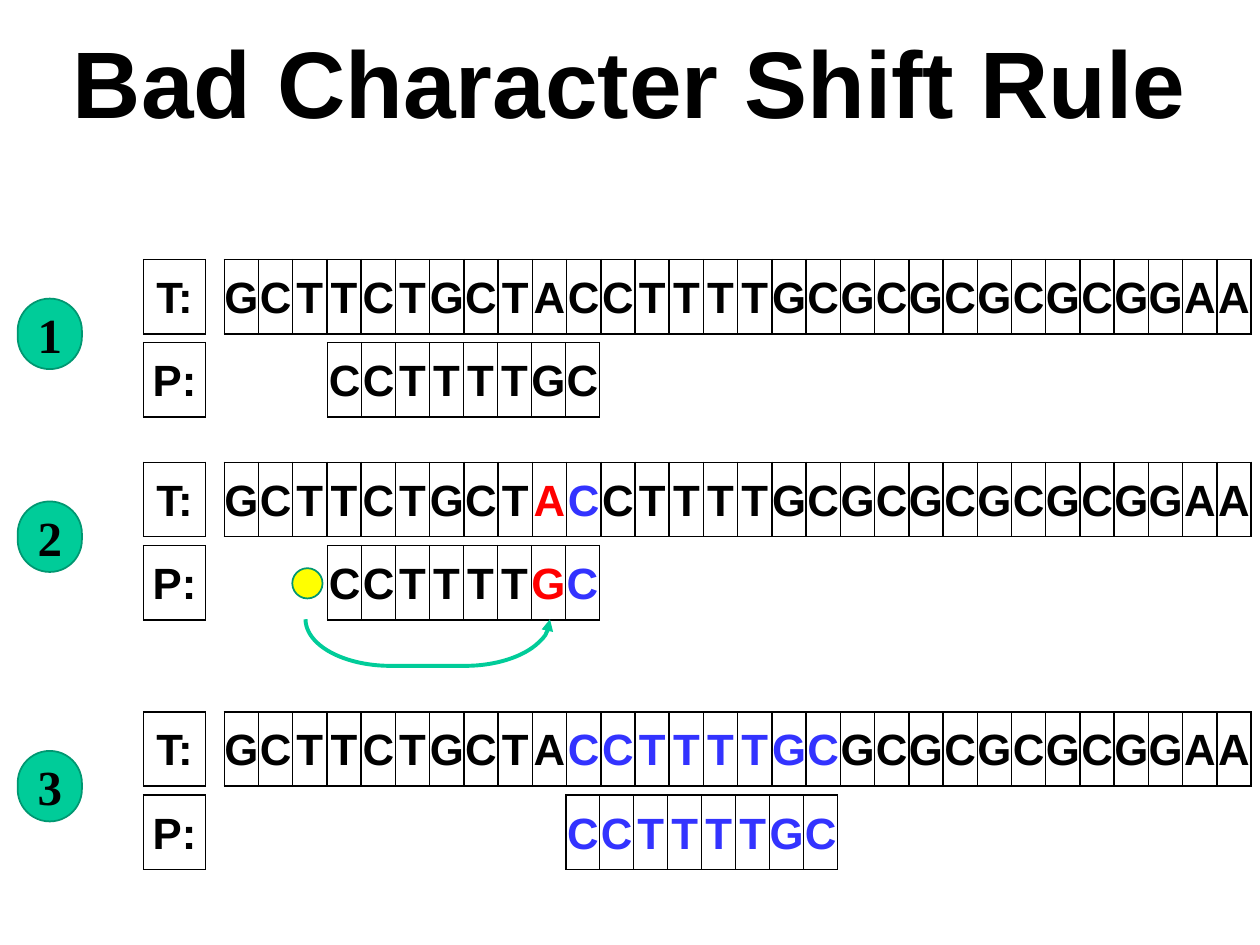
from dataclasses import dataclass

from lxml import etree
from pptx import Presentation
from pptx.dml.color import RGBColor
from pptx.enum.shapes import MSO_SHAPE
from pptx.enum.text import MSO_ANCHOR, PP_ALIGN
from pptx.oxml.ns import qn
from pptx.shapes.autoshape import Shape
from pptx.slide import Slide
from pptx.table import _Cell
from pptx.text.text import TextFrame
from pptx.util import Inches, Pt

CENTER = PP_ALIGN.CENTER
MIDDLE = MSO_ANCHOR.MIDDLE
ROUNDED = MSO_SHAPE.ROUNDED_RECTANGLE
BRACKET = MSO_SHAPE.RIGHT_BRACKET


@dataclass(frozen=True)
class Theme:
    black: str = "000000"
    mismatch: str = "FF0000"
    match: str = "3333FF"
    green: str = "00CC99"
    green_edge: str = "009771"
    yellow: str = "FFFF00"
    sans: str = "Arial"
    serif: str = "Times New Roman"
    title_size: float = 54
    letter_size: float = 25
    number_size: float = 28
    thin: float = 1
    thick: float = 2.25


@dataclass(frozen=True)
class Step:
    number: int
    top: float
    pattern_left: float
    # One mark per letter: x is a mismatch, = a match, anything else is plain
    text_marks: str = ""
    pattern_marks: str = ""


THEME = Theme()
MARK_COLORS = {"x": THEME.mismatch, "=": THEME.match}
TEXT = "GCTTCTGCTACCTTTTGCGCGCGCGCGGAA"
PATTERN = "CCTTTTGC"
STEPS = [
    Step(1, 2.06, 2.6),
    Step(2, 3.67, 2.6, "." * 9 + "x=", "." * 6 + "x="),
    Step(3, 5.65, 4.49, "." * 10 + "=" * 8, "=" * 8),
]
LABEL_LEFT, LABEL_WIDTH = 1.14, 0.49
TEXT_LEFT, TEXT_WIDTH, PATTERN_WIDTH = 1.78, 8.16, 2.16
ROW_HEIGHT, PATTERN_OFFSET = 0.59, 0.66
BADGE_LEFT, BADGE_OFFSET, BADGE_WIDTH, BADGE_HEIGHT = 0.14, 0.31, 0.51, 0.56


def write(frame: TextFrame, text: str, font: str, size: float, color: str) -> None:
    paragraph = frame.paragraphs[0]
    paragraph.alignment = CENTER
    run = paragraph.add_run()
    run.text = text
    run.font.name = font
    run.font.size = Pt(size)
    run.font.bold = True
    run.font.color.rgb = RGBColor.from_string(color)


def add_borders(cell: _Cell) -> None:
    properties = cell._tc.get_or_add_tcPr()
    for side in ("a:lnL", "a:lnR", "a:lnT", "a:lnB"):
        line = etree.SubElement(properties, qn(side), w=str(Pt(THEME.thin)))
        fill = etree.SubElement(line, qn("a:solidFill"))
        etree.SubElement(fill, qn("a:srgbClr"), val=THEME.black)


def add_strip(slide: Slide, items: list[str], left: float, top: float,
              width: float, marks: str = "") -> None:
    """Draw a one-row table with one item in each equal cell."""
    table = slide.shapes.add_table(1, len(items), Inches(left), Inches(top),
                                   Inches(width), Inches(ROW_HEIGHT)).table
    table.first_row = False
    table.horz_banding = False
    for column in table.columns:
        column.width = Inches(width / len(items))
    for cell, item, mark in zip(table.iter_cells(), items, marks.ljust(len(items), ".")):
        cell.margin_left = cell.margin_right = 0
        cell.margin_top = cell.margin_bottom = 0
        cell.vertical_anchor = MIDDLE
        add_borders(cell)
        cell.fill.background()
        write(cell.text_frame, item, THEME.sans, THEME.letter_size,
              MARK_COLORS.get(mark, THEME.black))
        paragraph = cell.text_frame.paragraphs[0]
        paragraph.line_spacing = 1.07
        paragraph.space_after = Pt(8)


def add_pill(slide: Slide, left: float, top: float, width: float,
             height: float, fill: str) -> Shape:
    pill = slide.shapes.add_shape(ROUNDED, Inches(left), Inches(top),
                                  Inches(width), Inches(height))
    pill.adjustments[0] = 0.5
    pill.shadow.inherit = False
    pill.fill.solid()
    pill.fill.fore_color.rgb = RGBColor.from_string(fill)
    pill.line.color.rgb = RGBColor.from_string(THEME.green_edge)
    pill.line.width = Pt(THEME.thin)
    return pill


def add_step(slide: Slide, step: Step) -> None:
    pattern_top = step.top + PATTERN_OFFSET
    add_strip(slide, list(TEXT), TEXT_LEFT, step.top, TEXT_WIDTH, step.text_marks)
    add_strip(slide, list(PATTERN), step.pattern_left, pattern_top,
              PATTERN_WIDTH, step.pattern_marks)
    add_strip(slide, ["T:"], LABEL_LEFT, step.top, LABEL_WIDTH)
    add_strip(slide, ["P:"], LABEL_LEFT, pattern_top, LABEL_WIDTH)

    badge = add_pill(slide, BADGE_LEFT, step.top + BADGE_OFFSET,
                     BADGE_WIDTH, BADGE_HEIGHT, THEME.green)
    frame = badge.text_frame
    frame.margin_left = frame.margin_right = 0
    frame.vertical_anchor = MIDDLE
    write(frame, str(step.number), THEME.serif, THEME.number_size, THEME.black)


def add_shift_arrow(slide: Slide) -> None:
    arrow = slide.shapes.add_shape(BRACKET, Inches(3.21), Inches(4.13),
                                   Inches(0.37), Inches(1.94))
    arrow.rotation = 90
    arrow.adjustments[0] = 1.825
    arrow.shadow.inherit = False
    arrow.fill.background()
    arrow.line.color.rgb = RGBColor.from_string(THEME.green)
    arrow.line.width = Pt(THEME.thick)
    etree.SubElement(arrow.line._get_or_add_ln(), qn("a:headEnd"), type="triangle")


def main() -> None:
    presentation = Presentation()
    presentation.slide_width = Inches(10)
    presentation.slide_height = Inches(7.5)
    slide = presentation.slides.add_slide(presentation.slide_layouts[5])

    # Title
    title = slide.shapes.title
    title.left, title.top = Inches(0.4), Inches(0.14)
    title.width, title.height = Inches(9.19), Inches(1)
    title.text_frame.vertical_anchor = MIDDLE
    write(title.text_frame, "Bad Character Shift Rule", THEME.sans,
          THEME.title_size, THEME.black)

    # Three alignments of the pattern under the text
    for step in STEPS:
        add_step(slide, step)

    # Bad character marker and the shift it causes
    add_pill(slide, 2.32, 4.51, 0.24, 0.24, THEME.yellow)
    add_shift_arrow(slide)

    presentation.save("out.pptx")


if __name__ == "__main__":
    main()
